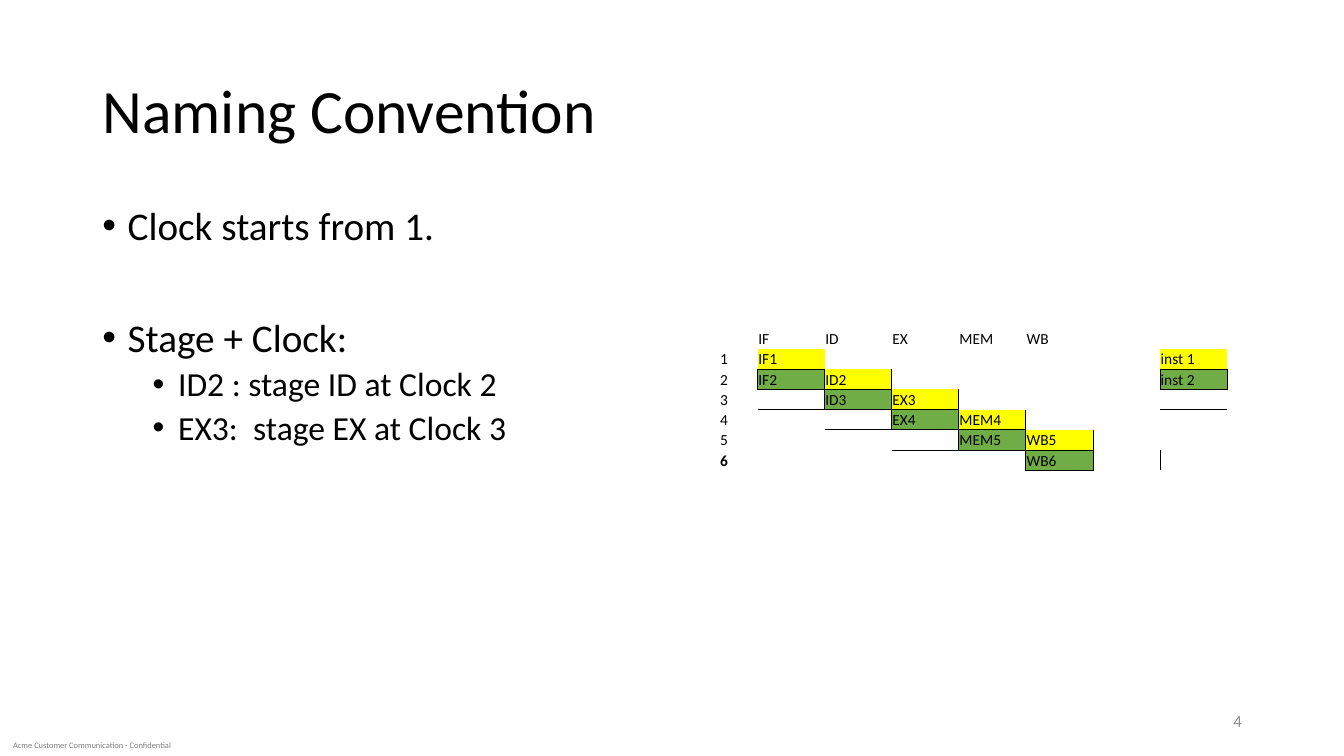
from dataclasses import dataclass

from lxml.etree import SubElement
from pptx import Presentation
from pptx.dml.color import RGBColor
from pptx.enum.text import MSO_ANCHOR, PP_ALIGN
from pptx.oxml.ns import qn
from pptx.util import Cm, Pt


@dataclass(frozen=True)
class Theme:
    font: str = "Calibri"
    black: RGBColor = RGBColor(0, 0, 0)
    yellow: RGBColor = RGBColor(0xFF, 0xFF, 0)
    green: RGBColor = RGBColor(0x70, 0xAD, 0x47)
    footer_gray: RGBColor = RGBColor(0x7F, 0x7F, 0x7F)
    number_gray: RGBColor = RGBColor(0x8C, 0x8C, 0x8C)
    title: int = 44
    bullets: tuple = (28, 24)
    number: int = 12
    table: int = 11
    footer: int = 6


theme = Theme()


def style(p, size, color=theme.black, bold=False):
    for r in p.runs:
        r.font.name = theme.font
        r.font.size = Pt(size)
        r.font.color.rgb = color
        r.font.bold = bold


def add_text(left, top, width, height, text, anchor=MSO_ANCHOR.MIDDLE):
    tf = s.shapes.add_textbox(Cm(left), Cm(top), Cm(width), Cm(height)).text_frame
    tf.word_wrap = True
    tf.vertical_anchor = anchor
    tf.text = text
    return tf


prs = Presentation()
prs.slide_width, prs.slide_height = Cm(33.87), Cm(19.05)
s = prs.slides.add_slide(prs.slide_layouts[5])

# Title
title = s.shapes.title
title.left, title.top, title.width, title.height = Cm(2.33), Cm(1.01), Cm(29.21), Cm(3.68)
tf = title.text_frame
tf.text = "Naming Convention"
tf.vertical_anchor = MSO_ANCHOR.MIDDLE
p = tf.paragraphs[0]
p.alignment = PP_ALIGN.LEFT
p.line_spacing = 0.9
style(p, theme.title)

# Bullets: level, space before in points, text
bullets = [
    (0, 10, "Clock starts from 1."),
    (0, 50, "Stage + Clock:"),
    (1, 5, "ID2 : stage ID at Clock 2"),
    (1, 5, "EX3:  stage EX at Clock 3"),
]
tf = add_text(2.33, 5.07, 29.21, 12.09, "\n".join(text for _, _, text in bullets), MSO_ANCHOR.TOP)
for p, (level, gap, _) in zip(tf.paragraphs, bullets):
    p.level = level
    p.line_spacing = 0.9
    p.space_before = Pt(gap)
    style(p, theme.bullets[level])
    pPr = p._p.get_or_add_pPr()
    pPr.set("marL", str(Cm(0.64 + 1.27 * level)))
    pPr.set("indent", str(-Cm(0.64)))
    SubElement(pPr, qn("a:buFont"), typeface="Arial")
    SubElement(pPr, qn("a:buChar"), char="•")

# Pipeline table: instruction n enters stage k at clock n + k
stages = ["IF", "ID", "EX", "MEM", "WB"]
instruction_fills = [theme.yellow, theme.green]
legend_col = 7
texts, fills = {}, {}
for clock in range(1, 7):
    texts[clock, 0] = str(clock)
for col, stage in enumerate(stages, 1):
    texts[0, col] = stage
    for n, fill in enumerate(instruction_fills):
        clock = col + n
        texts[clock, col] = f"{stage}{clock}"
        fills[clock, col] = fill
for n, fill in enumerate(instruction_fills, 1):
    texts[n, legend_col] = f"inst {n}"
    fills[n, legend_col] = fill

rows, cols = 7, 8
row_height, col_width = 0.51, 1.69
table = s.shapes.add_table(rows, cols, Cm(17.4), Cm(8.28),
                           Cm(cols * col_width), Cm(rows * row_height)).table
table.first_row = table.horz_banding = False
no_grid_style = "{2D5ABB26-0587-4C30-8999-92F81FD0307C}"
table._tbl.tblPr.find(qn("a:tableStyleId")).text = no_grid_style
for row in table.rows:
    row.height = Cm(row_height)
for column in table.columns:
    column.width = Cm(col_width)

sides = {"a:lnL": (0, -1), "a:lnR": (0, 1), "a:lnT": (-1, 0), "a:lnB": (1, 0)}
for row in range(rows):
    for col in range(cols):
        cell = table.cell(row, col)
        cell.margin_left = cell.margin_right = cell.margin_top = Cm(0.02)
        cell.margin_bottom = 0
        cell.vertical_anchor = MSO_ANCHOR.BOTTOM
        p = cell.text_frame.paragraphs[0]
        if (row, col) in texts:
            p.text = texts[row, col]
            p.alignment = PP_ALIGN.CENTER if col == 0 else PP_ALIGN.LEFT
            style(p, theme.table, bold=(row, col) == (rows - 1, 0))
        else:
            SubElement(p._p, qn("a:endParaRPr"), sz=str(theme.table * 100))

        # Every edge of a green cell is ruled, on both cells that share it
        fill = fills.get((row, col))
        tcPr = cell._tc.get_or_add_tcPr()
        for tag, (down, right) in sides.items():
            if theme.green in (fill, fills.get((row + down, col + right))):
                line = SubElement(tcPr, qn(tag), w=str(Pt(0.5)))
                solid = SubElement(line, qn("a:solidFill"))
                SubElement(solid, qn("a:srgbClr"), val=str(theme.black))
        if fill:
            cell.fill.solid()
            cell.fill.fore_color.rgb = fill
        else:
            cell.fill.background()

# Footer and slide number
tf = add_text(0, 18.52, 4.5, 0.53, "Acme Customer Communication - Confidential")
tf.margin_left = Cm(0.33)
tf.margin_right = tf.margin_top = tf.margin_bottom = 0
tf.word_wrap = False
style(tf.paragraphs[0], theme.footer, theme.footer_gray)

tf = add_text(23.93, 17.66, 7.62, 1.01, "4")
tf.paragraphs[0].alignment = PP_ALIGN.RIGHT
style(tf.paragraphs[0], theme.number, theme.number_gray)

prs.save("out.pptx")
